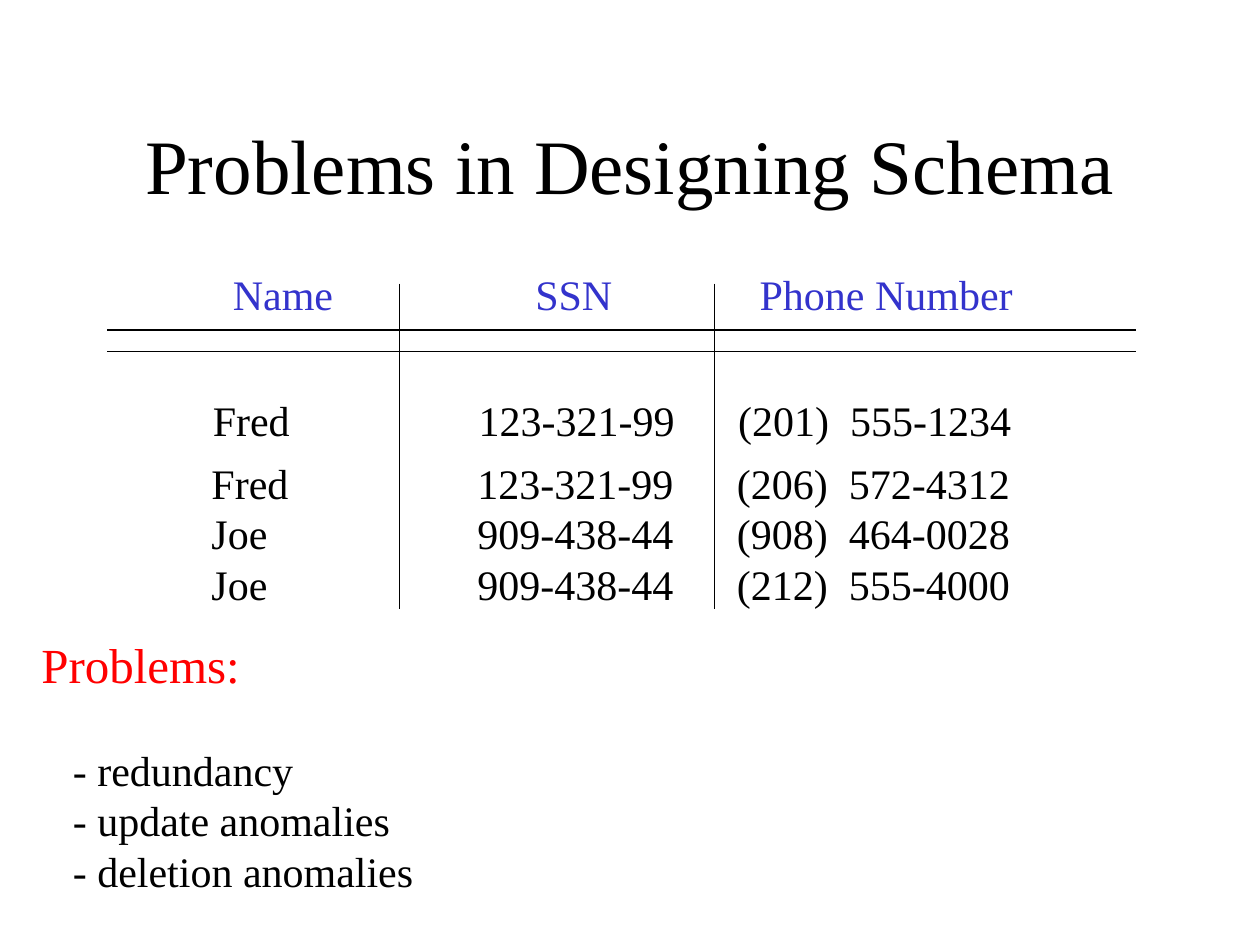
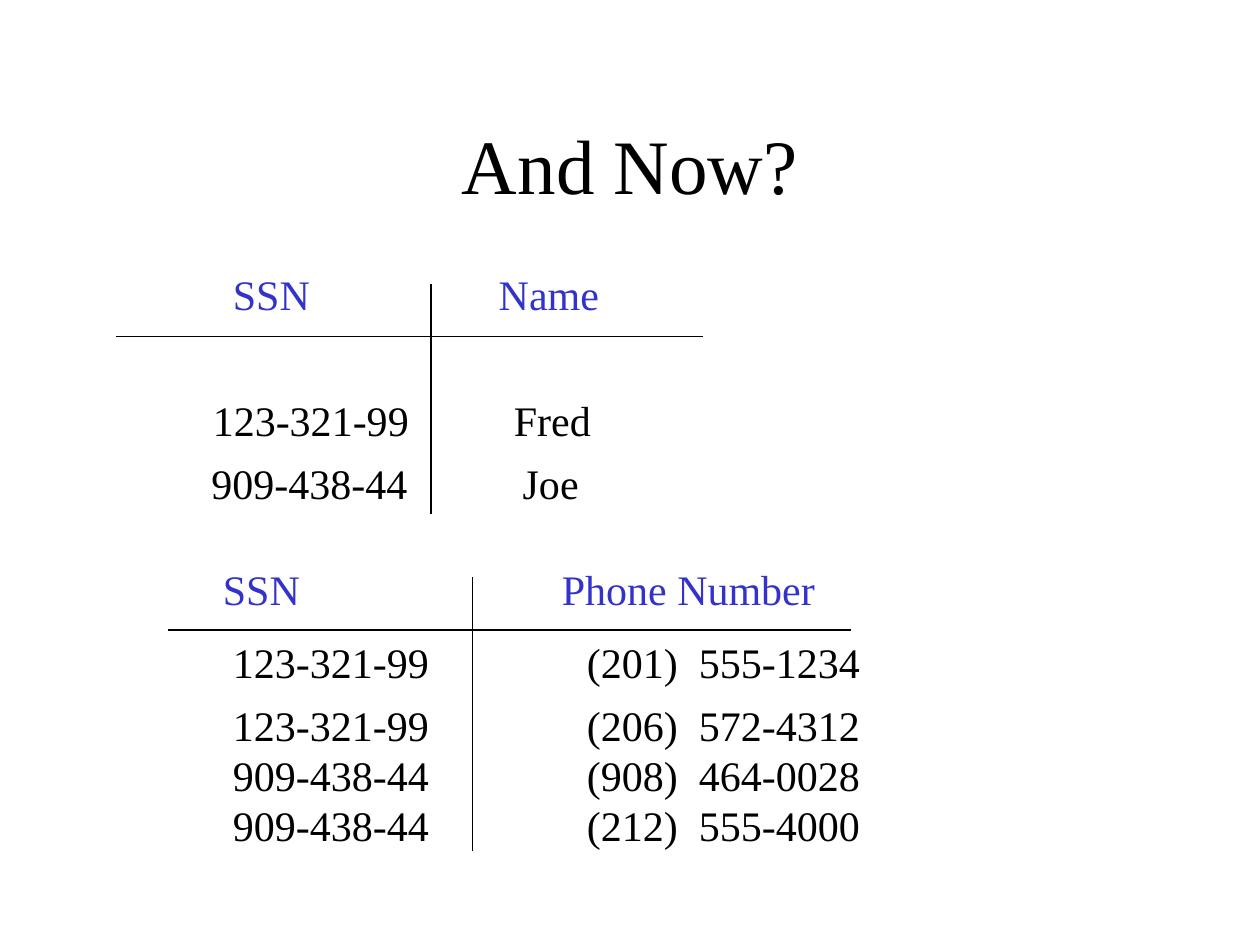
from lxml.etree import SubElement
from pptx import Presentation
from pptx.dml.color import RGBColor as RGB
from pptx.enum.shapes import MSO_CONNECTOR as LINE
from pptx.enum.text import MSO_ANCHOR as ANCHOR, PP_ALIGN as ALIGN
from pptx.oxml.ns import qn
from pptx.util import Pt

PX = 9144
BLACK = RGB(0x00, 0x00, 0x00)
BLUE = RGB(0x33, 0x33, 0xCC)
RED = RGB(0xFF, 0x00, 0x00)
FONT = "Times New Roman"


def add_text(slide, box, lines, color=BLACK, size=24, tabs=()):
    frame = slide.shapes.add_textbox(*(n * PX for n in box)).text_frame
    frame.word_wrap = True
    for i, line in enumerate(lines):
        para = frame.add_paragraph() if i else frame.paragraphs[0]
        run = para.add_run()
        run.text = line
        run.font.name = FONT
        run.font.size = Pt(size)
        run.font.color.rgb = color
        if tabs:
            stops = SubElement(para._p.get_or_add_pPr(), qn("a:tabLst"))
            for tab in tabs:
                SubElement(stops, qn("a:tab"), pos=str(tab * PX), algn="l")
    return frame


def add_rule(slide, *ends):
    rule = slide.shapes.add_connector(LINE.STRAIGHT, *(n * PX for n in ends))
    rule.line.color.rgb = BLACK
    rule.line.width = Pt(0.75)
    SubElement(rule._element.spPr, qn("a:effectLst"))


deck = Presentation()
deck.slide_width = 1000 * PX
deck.slide_height = 750 * PX

slides = []
for title in ("Problems in Designing Schema", "And Now?"):
    slide = deck.slides.add_slide(deck.slide_layouts[6])
    frame = add_text(slide, (75, 67, 850, 125), [title], size=44)
    frame.vertical_anchor = ANCHOR.MIDDLE
    frame.paragraphs[0].alignment = ALIGN.CENTER
    slides.append(slide)
schema, split = slides

people = [
    ("Fred", "123-321-99", "(201)  555-1234"),
    ("Fred", "123-321-99", "(206)  572-4312"),
    ("Joe", "909-438-44", "(908)  464-0028"),
    ("Joe", "909-438-44", "(212)  555-4000"),
]
rows = ["\t".join(row) for row in people]
phones = ["\t".join(row[1:]) for row in people]

for y in (262, 279):
    add_rule(schema, 85, y, 902, y)
for x in (317, 567):
    add_rule(schema, x, 225, x, 483)
add_text(schema, (175, 208, 641, 50), ["Name\tSSN\tPhone Number"], BLUE, tabs=(240, 418))
add_text(schema, (159, 308, 658, 50), rows[:1], tabs=(211, 417))
add_text(schema, (158, 358, 658, 130), rows[1:], tabs=(211, 417))

add_text(schema, (23, 499, 323, 57), ["Problems:"], RED, 28)
flaws = ["- redundancy", "- update anomalies", "- deletion anomalies"]
add_text(schema, (48, 586, 298, 130), flaws)

add_text(split, (175, 208, 316, 50), ["SSN\tName"], BLUE, tabs=(211,))
add_text(split, (159, 308, 325, 50), ["123-321-99\tFred"], tabs=(239,))
add_text(split, (158, 358, 653, 50), ["909-438-44\tJoe"], tabs=(247,))
add_rule(split, 92, 267, 558, 267)
add_rule(split, 342, 225, 342, 408)

add_text(split, (167, 442, 495, 50), ["SSN\tPhone Number"], BLUE, tabs=(269,))
add_text(split, (175, 500, 522, 50), phones[:1], tabs=(281,))
add_text(split, (175, 550, 653, 130), phones[1:], tabs=(281,))
add_rule(split, 133, 500, 675, 500)
add_rule(split, 375, 458, 375, 675)

deck.save("out.pptx")
